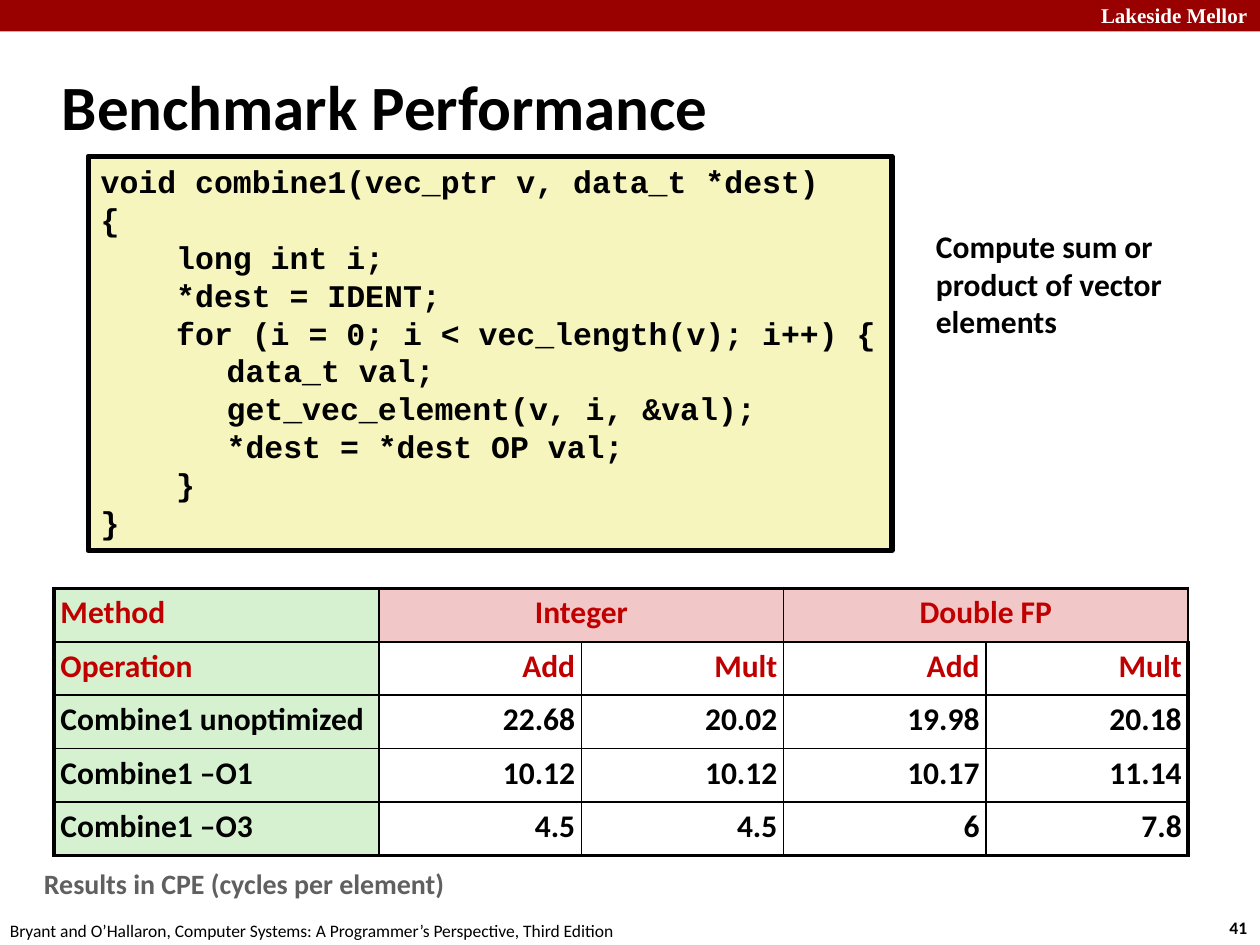
"""Build the Benchmark Performance slide with its code box and results table."""
from lxml import etree
from pptx import Presentation
from pptx.dml.color import RGBColor
from pptx.enum.shapes import MSO_SHAPE
from pptx.enum.text import MSO_ANCHOR, MSO_AUTO_SIZE, PP_ALIGN
from pptx.oxml import parse_xml
from pptx.oxml.ns import nsdecls, qn
from pptx.util import Inches, Pt

RECTANGLE = MSO_SHAPE.RECTANGLE
TOP, MIDDLE = MSO_ANCHOR.TOP, MSO_ANCHOR.MIDDLE
FIT_SHAPE, FIT_NONE = MSO_AUTO_SIZE.SHAPE_TO_FIT_TEXT, MSO_AUTO_SIZE.NONE
LEFT, CENTER, RIGHT = PP_ALIGN.LEFT, PP_ALIGN.CENTER, PP_ALIGN.RIGHT
COLORS = {
    "banner": "990000", "white": "FFFFFF", "black": "000000", "code": "F6F5BD",
    "heading": "C00000", "method": "D5F1CF", "type": "F1C7C7", "note": "606060",
}

presentation = Presentation()
presentation.slide_width = Inches(10)
presentation.slide_height = Inches(7.5)
column = presentation.slide_width // 100
row = presentation.slide_height // 75
slide = presentation.slides.add_slide(presentation.slide_layouts[5])


def place(left, top, width, height):
    return [round(length) for length in (left * column, top * row, width * column, height * row)]


def write(paragraph, text, size, color="black", font="Calibri", bold=True, align=LEFT):
    paragraph.alignment = align
    run = paragraph.add_run()
    run.text = text
    run.font.name = font
    run.font.size = Pt(size)
    run.font.bold = bold
    run.font.color.rgb = RGBColor.from_string(COLORS[color])


banner = slide.shapes.add_shape(RECTANGLE, *place(0, 0, 100, 2.5))
banner.shadow.inherit = False
banner.fill.solid()
banner.fill.fore_color.rgb = RGBColor.from_string(COLORS["banner"])
banner.line.fill.background()

title = slide.shapes.title
title.left, title.top, title.width, title.height = place(3.9, 4.2, 83, 8.3)
title.text_frame.vertical_anchor = MIDDLE
title.text_frame.auto_size = FIT_NONE
write(title.text_frame.paragraphs[0], "Benchmark Performance", 36)

code_box = slide.shapes.add_shape(RECTANGLE, *place(7, 12.4, 63.8, 31.3))
code_box.shadow.inherit = False
code_box.fill.solid()
code_box.fill.fore_color.rgb = RGBColor.from_string(COLORS["code"])
code_box.line.color.rgb = RGBColor.from_string(COLORS["black"])
code_box.line.width = Pt(3)
code_frame = code_box.text_frame
code_frame.word_wrap = False
code_frame.auto_size = FIT_SHAPE
code_frame.vertical_anchor = TOP
code_lines = [
    "void combine1(vec_ptr v, data_t *dest)",
    "{",
    "    long int i;",
    "    *dest = IDENT;",
    "    for (i = 0; i < vec_length(v); i++) {",
    "\tdata_t val;",
    "\tget_vec_element(v, i, &val);",
    "\t*dest = *dest OP val;",
    "    }",
    "}",
]
for index, line in enumerate(code_lines):
    paragraph = code_frame.add_paragraph() if index else code_frame.paragraphs[0]
    write(paragraph, line, 18, font="Courier New")
    tabs = etree.SubElement(paragraph._p.get_or_add_pPr(), qn("a:tabLst"))
    for stop in (1, 2.5):
        etree.SubElement(tabs, qn("a:tab"), pos=str(Inches(stop)), algn="l")

labels = [
    ((86.4, -0.3, 14.3, 3), True, "Lakeside Mellor", 12, "white", "Times New Roman", True),
    ((73.3, 17.5, 26.7, 10.1), True, "Compute sum or product of vector elements", 18,
     "black", "Calibri", True),
    ((2.5, 68.3, 59.2, 3.7), True, "Results in CPE (cycles per element)", 16,
     "note", "Calibri", True),
    ((-0.2, 72.5, 50.8, 2.7), False,
     "Bryant and O’Hallaron, Computer Systems: A Programmer’s Perspective, Third Edition", 10,
     "black", "Calibri", False),
    ((96.6, 72.3, 3.7, 2.7), False, "41", 10, "black", "Calibri", True),
]
for box, wrap, *content in labels:
    label = slide.shapes.add_textbox(*place(*box))
    label.text_frame.word_wrap = wrap
    label.text_frame.auto_size = FIT_SHAPE
    write(label.text_frame.paragraphs[0], *content)

results = [
    ["Method", "Integer", "", "Double FP", ""],
    ["Operation", "Add", "Mult", "Add", "Mult"],
    ["Combine1 unoptimized", "22.68", "20.02", "19.98", "20.18"],
    ["Combine1 –O1", "10.12", "10.12", "10.17", "11.14"],
    ["Combine1 –O3", "4.5", "4.5", "6", "7.8"],
]
last_row, last_column = len(results) - 1, len(results[0]) - 1
table_frame = slide.shapes.add_table(len(results), len(results[0]), *place(4.3, 46.7, 90, 21.2))
table = table_frame.table
for index, table_column in enumerate(table.columns):
    table_column.width = round(column * (16.05 if index else 25.8))
for table_row in table.rows:
    table_row.height = round(row * 4.24)
for first in (1, 3):
    table.cell(0, first).merge(table.cell(0, first + 1))

for y, values in enumerate(results):
    for x, value in enumerate(values):
        cell = table.cell(y, x)
        cell.margin_left = cell.margin_right = Inches(0.05)
        cell.margin_top = cell.margin_bottom = Inches(0.05)
        if x == 0 or y == 0:
            cell.fill.solid()
            cell.fill.fore_color.rgb = RGBColor.from_string(COLORS["type" if x else "method"])
        else:
            cell.fill.background()
        outer = {"L": x == 0, "R": x == last_column, "T": y == 0, "B": y == last_row}
        for position, (side, is_outer) in enumerate(outer.items()):
            border = parse_xml(
                f'<a:ln{side} {nsdecls("a")} w="{Pt(2.25 if is_outer else 1)}"><a:solidFill>'
                f'<a:srgbClr val="{COLORS["black"]}"/></a:solidFill></a:ln{side}>')
            cell._tc.get_or_add_tcPr().insert(position, border)
        if value:
            paragraph = cell.text_frame.paragraphs[0]
            paragraph.line_spacing = 0.95
            align = LEFT if x == 0 else CENTER if y == 0 else RIGHT
            write(paragraph, value, 18, "heading" if y < 2 else "black", align=align)

presentation.save("out.pptx")
